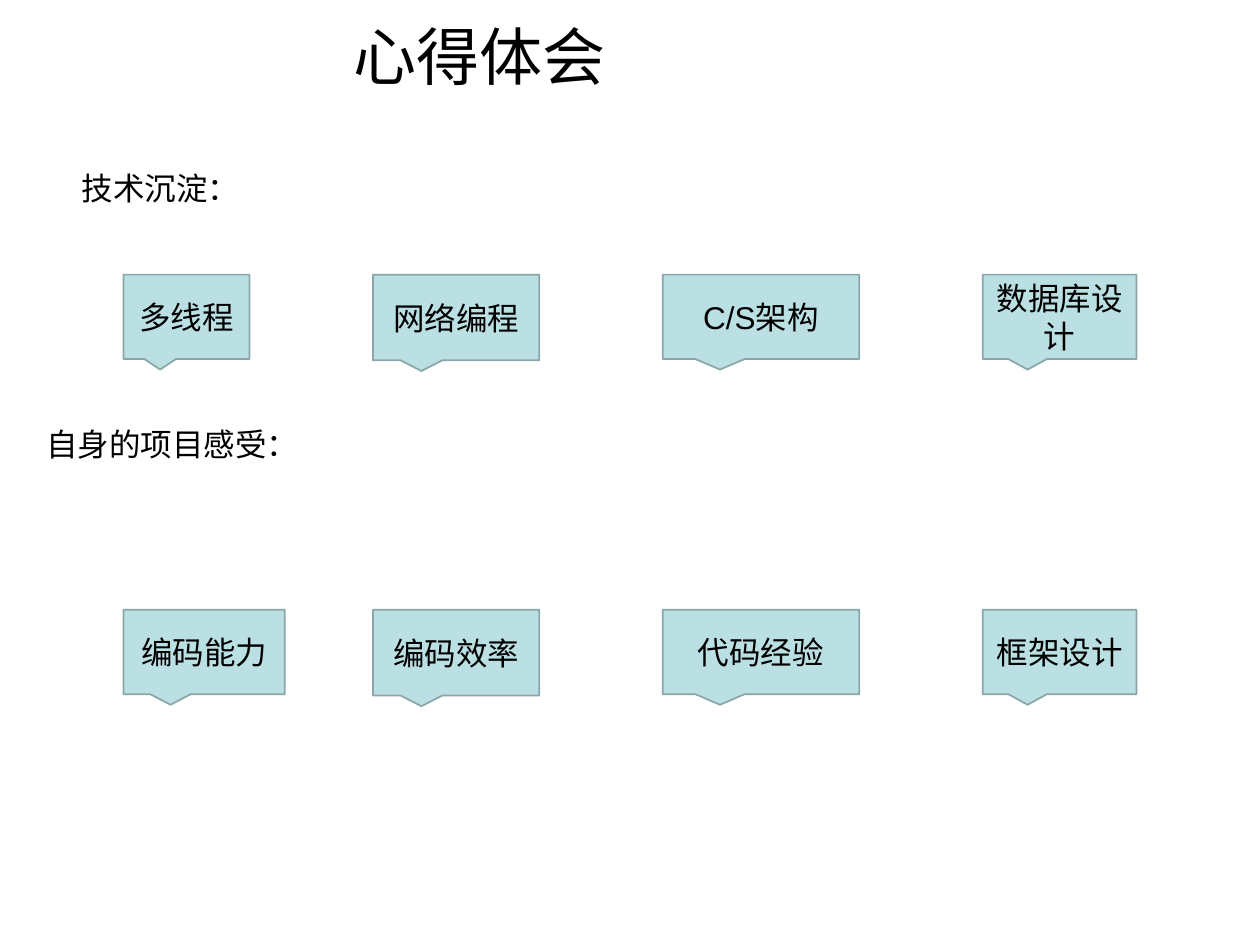
from typing import NamedTuple

import lxml.etree
import pptx
import pptx.dml.color
import pptx.enum.shapes
import pptx.enum.text
import pptx.oxml.ns
import pptx.util

Inches = pptx.util.Inches
Pt = pptx.util.Pt

BLACK = pptx.dml.color.RGBColor(0x00, 0x00, 0x00)
PALE_TEAL = pptx.dml.color.RGBColor(0xBB, 0xE0, 0xE3)
GREY_TEAL = pptx.dml.color.RGBColor(0x8A, 0xA6, 0xA8)
CHINESE_FONT = "Noto Sans CJK SC"
LATIN_FONT = "Arial"


class Callout(NamedTuple):
    text: str
    left: float
    width: float
    height: float = 0.67


class CalloutRow(NamedTuple):
    top: float
    callouts: tuple[Callout, ...]


CALLOUT_ROWS = (
    CalloutRow(2.18, (
        Callout("多线程", 0.98, 1),
        Callout("网络编程", 2.96, 1.32, 0.68),
        Callout("C/S架构", 5.26, 1.56),
        Callout("数据库设计", 7.8, 1.22),
    )),
    CalloutRow(4.84, (
        Callout("编码能力", 0.98, 1.28),
        Callout("编码效率", 2.96, 1.32, 0.68),
        Callout("代码经验", 5.26, 1.56),
        Callout("框架设计", 7.8, 1.22),
    )),
)


def add_run(paragraph, text: str, size: float, latin_font: str) -> None:
    run = paragraph.add_run()
    run.text = text
    run.font.size = Pt(size)
    run.font.name = latin_font
    run.font.color.rgb = BLACK
    east_asian = lxml.etree.SubElement(
        run.font._element, pptx.oxml.ns.qn("a:ea")
    )
    east_asian.set("typeface", CHINESE_FONT)


def add_title(slide) -> None:
    title = slide.shapes.add_textbox(
        Inches(2.71), Inches(0.09), Inches(2.2), Inches(0.71)
    )
    title.text_frame.word_wrap = False
    title.text_frame.auto_size = pptx.enum.text.MSO_AUTO_SIZE.SHAPE_TO_FIT_TEXT
    add_run(title.text_frame.paragraphs[0], "心得体会", 36, CHINESE_FONT)


def add_headings(slide) -> None:
    headings = slide.shapes.add_textbox(
        Inches(0.27), Inches(0.99), Inches(8.99), Inches(0.99)
    )
    text_frame = headings.text_frame
    text_frame.word_wrap = True
    text_frame.margin_top = Inches(0.35)
    skills = text_frame.paragraphs[0]
    skills._p.get_or_add_pPr().set("indent", str(Inches(0.28)))
    add_run(skills, "技术沉淀：", 18, CHINESE_FONT)
    reflections = text_frame.add_paragraph()
    reflections.space_before = Pt(125)
    add_run(reflections, "自身的项目感受：", 18, CHINESE_FONT)


def add_callout(slide, callout: Callout, top: float) -> None:
    shape = slide.shapes.add_shape(
        pptx.enum.shapes.MSO_SHAPE.RECTANGULAR_CALLOUT,
        Inches(callout.left), Inches(top),
        Inches(callout.width), Inches(callout.height),
    )
    shape.shadow.inherit = False
    shape.fill.solid()
    shape.fill.fore_color.rgb = PALE_TEAL
    shape.line.color.rgb = GREY_TEAL
    shape.line.width = Pt(1)
    shape.text_frame.word_wrap = True
    shape.text_frame.vertical_anchor = pptx.enum.text.MSO_ANCHOR.MIDDLE
    paragraph = shape.text_frame.paragraphs[0]
    paragraph.alignment = pptx.enum.text.PP_ALIGN.CENTER
    add_run(paragraph, callout.text, 18, LATIN_FONT)


def main() -> None:
    presentation = pptx.Presentation()
    presentation.slide_width = Inches(10)
    presentation.slide_height = Inches(7.5)
    slide = presentation.slides.add_slide(presentation.slide_layouts[6])
    add_headings(slide)
    add_title(slide)
    for row in CALLOUT_ROWS:
        for callout in row.callouts:
            add_callout(slide, callout, row.top)
    presentation.save("out.pptx")


if __name__ == "__main__":
    main()
